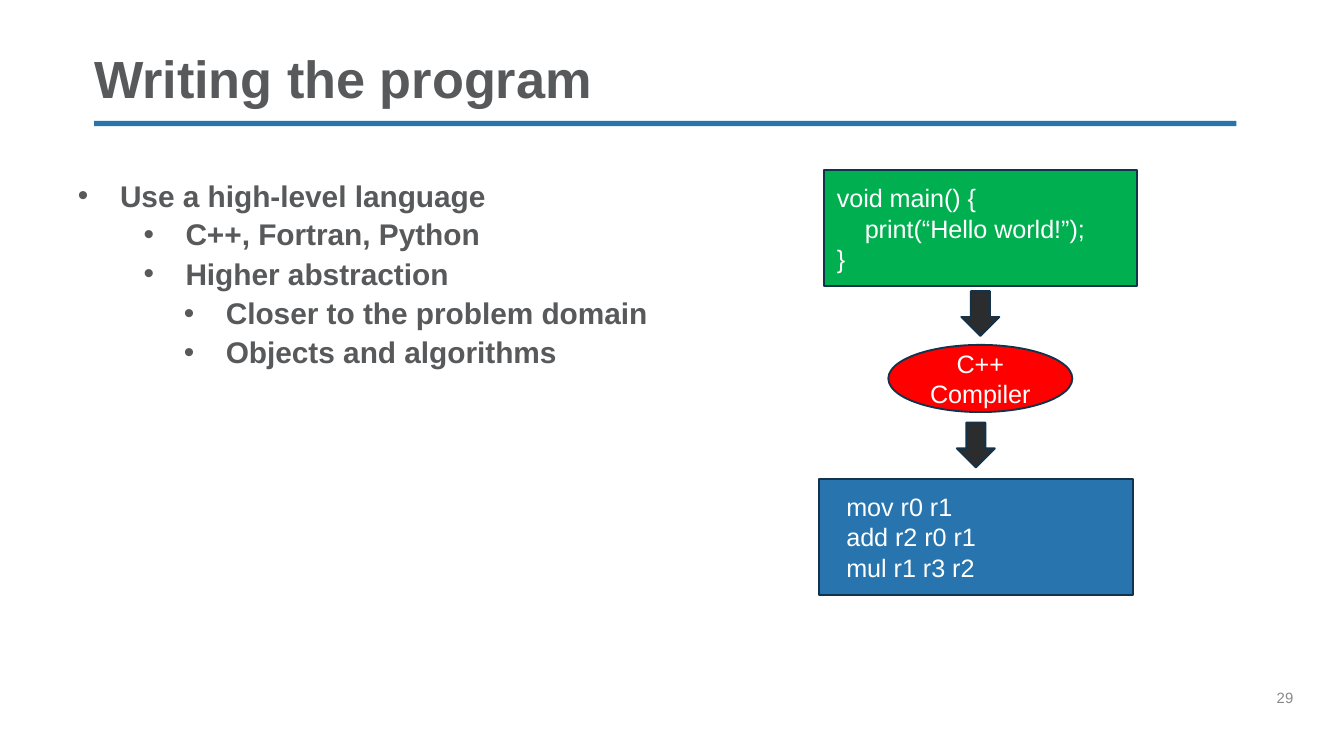
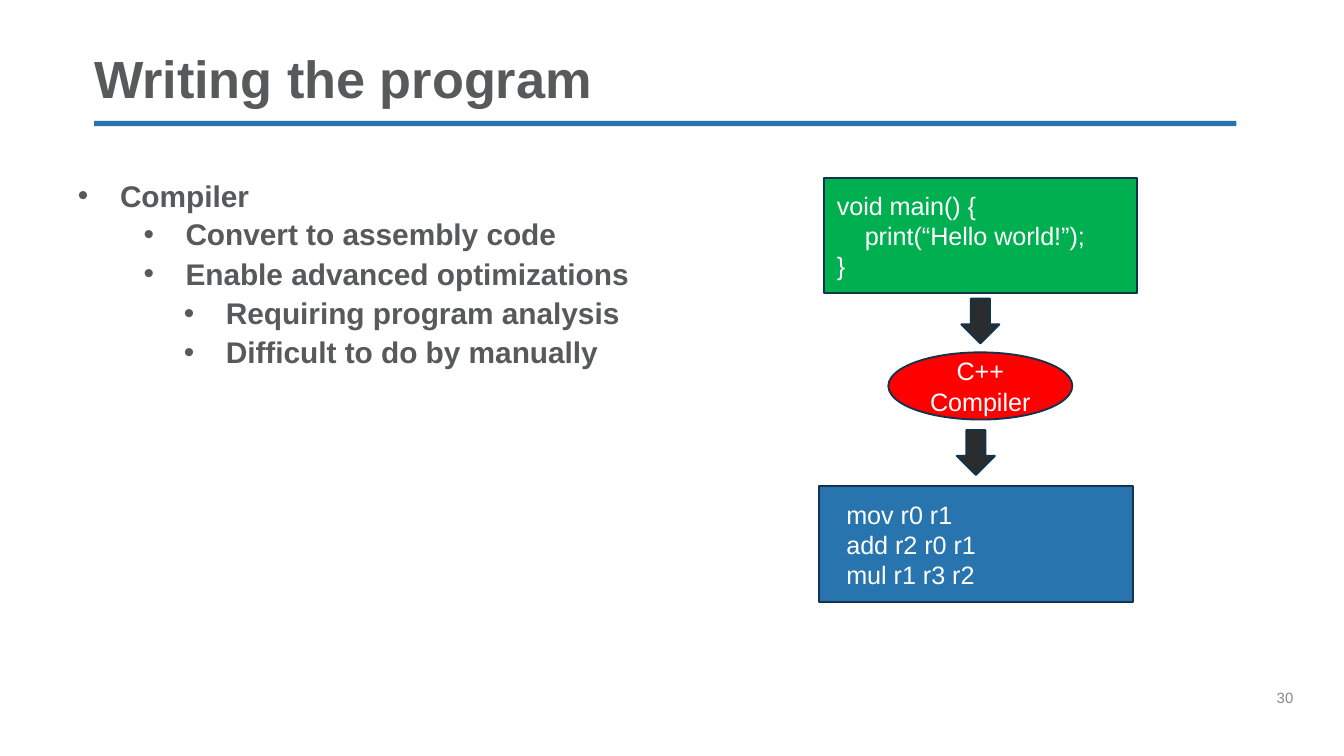
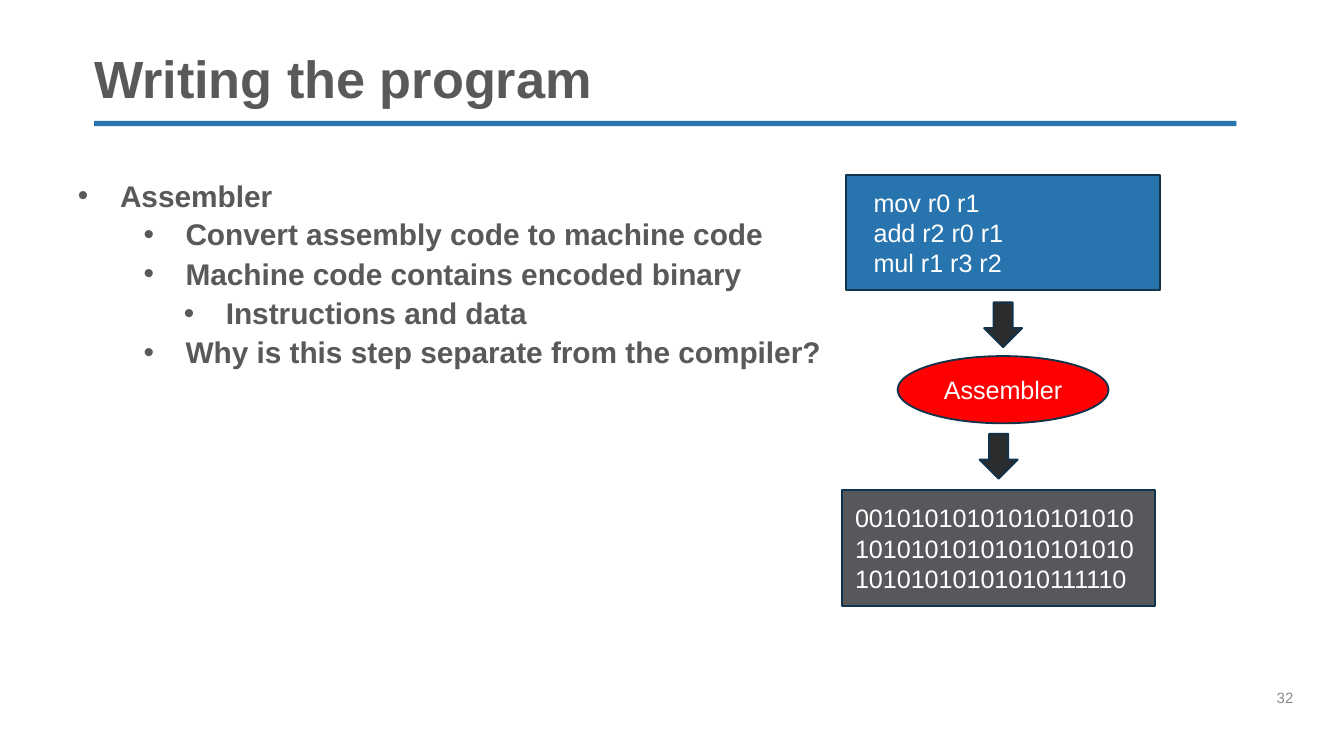
"""Build three slides on compiling and assembling a program."""
from dataclasses import dataclass

import lxml.etree
import pptx
import pptx.dml.color
import pptx.enum.shapes
import pptx.enum.text
import pptx.oxml.ns
import pptx.util

Pt = pptx.util.Pt
PRESET = pptx.enum.shapes.MSO_SHAPE
ALIGN = pptx.enum.text.PP_ALIGN
ANCHOR = pptx.enum.text.MSO_ANCHOR

FONT = "Arial"
COLORS = {
    "heading": "58595B",
    "rule": "2774AE",
    "page": "898989",
    "outline": "11334C",
    "arrow": "2B2C2E",
    "source": "00B050",
    "assembly": "2774AE",
    "machine": "57585B",
    "tool": "FF0000",
    "label": "FFFFFF",
}
LEVEL_INDENTS = (22.5, 57.6, 79.2)
HANGING = 22.5
CODE_WIDTH, CODE_HEIGHT = 168, 62
ARROW_WIDTH, ARROW_HEIGHT = 20.4, 24
TOOL_HEIGHT = 36
ARROW_TO_TOOL = 28.8
TOOL_TO_ARROW = 41.6
ARROW_TO_OUTPUT = 30.2
OUTPUT_SHIFT = -2.4


@dataclass(frozen=True)
class Box:
    left: float
    top: float
    width: float
    height: float


@dataclass(frozen=True)
class Code:
    color: str
    lines: tuple[str, ...]
    indents: tuple[float, ...]


@dataclass(frozen=True)
class Flow:
    center: float
    top: float
    gap: float
    code_in: Code
    tool: str
    tool_width: float
    code_out: Code


@dataclass(frozen=True)
class Page:
    number: int
    bullets: tuple[tuple[int, str], ...]
    flow: Flow


SOURCE = Code("source", ("void main() {", "print(“Hello world!”);", "}"), (0, 15, 0))
ASSEMBLY = Code("assembly", ("mov r0 r1", "add r2 r0 r1", "mul r1 r3 r2"), (7.5, 7.5, 7.5))
MACHINE = Code("machine", ("001010101010101010101010101010101010101010101010101010111110",), (0,))

PAGES = (
    Page(
        29,
        (
            (0, "Use a high-level language"),
            (1, "C++, Fortran, Python"),
            (1, "Higher abstraction"),
            (2, "Closer to the problem domain"),
            (2, "Objects and algorithms"),
        ),
        Flow(525.2, 91.2, 2.8, SOURCE, "C++ Compiler", 98.6, ASSEMBLY),
    ),
    Page(
        30,
        (
            (0, "Compiler"),
            (1, "Convert to assembly code"),
            (1, "Enable advanced optimizations"),
            (2, "Requiring program analysis"),
            (2, "Difficult to do by manually"),
        ),
        Flow(525.2, 95.2, 2.8, SOURCE, "C++ Compiler", 98.6, ASSEMBLY),
    ),
    Page(
        32,
        (
            (0, "Assembler"),
            (1, "Convert assembly code to machine code"),
            (1, "Machine code contains encoded binary"),
            (2, "Instructions and data"),
            (1, "Why is this step separate from the compiler?"),
        ),
        Flow(537.4, 93.6, 6.4, ASSEMBLY, "Assembler", 113, MACHINE),
    ),
)


def rgb(name: str) -> pptx.dml.color.RGBColor:
    return pptx.dml.color.RGBColor.from_string(COLORS[name])


def place(box: Box) -> tuple:
    return Pt(box.left), Pt(box.top), Pt(box.width), Pt(box.height)


def style_text(frame, size: float, color: str, bold: bool = False) -> None:
    for paragraph in frame.paragraphs:
        for run in paragraph.runs:
            run.font.name = FONT
            run.font.size = Pt(size)
            run.font.bold = bold
            run.font.color.rgb = rgb(color)


def indent(paragraph, left: float, first: float = 0) -> None:
    properties = paragraph._p.get_or_add_pPr()
    properties.set("marL", str(int(Pt(left))))
    properties.set("indent", str(int(Pt(first))))


def add_text(slide, box: Box, text: str, bottom_inset: float = 0):
    frame = slide.shapes.add_textbox(*place(box)).text_frame
    frame.word_wrap = True
    frame.margin_left = frame.margin_right = frame.margin_top = 0
    frame.margin_bottom = Pt(bottom_inset)
    frame.text = text
    return frame


def add_block(slide, preset, box: Box, fill: str, outlined: bool = True):
    block = slide.shapes.add_shape(preset, *place(box))
    block.shadow.inherit = False
    block.fill.solid()
    block.fill.fore_color.rgb = rgb(fill)
    if outlined:
        block.line.color.rgb = rgb("outline")
        block.line.width = Pt(1)
    else:
        block.line.fill.background()
    return block


def add_frame(slide, number: int) -> None:
    add_block(slide, PRESET.RECTANGLE, Box(50.4, 64.8, 612, 2.9), "rule", outlined=False)
    heading = add_text(slide, Box(50.4, 28.8, 612, 30.2), "Writing the program")
    heading.vertical_anchor = ANCHOR.BOTTOM
    heading.paragraphs[0].line_spacing = 0.9
    style_text(heading, 28, "heading", bold=True)
    page_number = add_text(slide, Box(684, 374.4, 36, 28.8), str(number), 20.2)
    style_text(page_number, 8, "page")


def add_bullets(slide, bullets: tuple[tuple[int, str], ...]) -> None:
    outline = add_text(slide, Box(41.8, 95, 540, 124.6), "\n".join(text for _, text in bullets))
    for paragraph, (level, _) in zip(outline.paragraphs, bullets):
        paragraph.level = level
        paragraph.space_before = Pt(3.8 if level else 7.5)
        paragraph.line_spacing = 0.9 if level else 1.0
        indent(paragraph, LEVEL_INDENTS[level], -HANGING)
        properties = paragraph._p.get_or_add_pPr()
        for tag, key, value in (("a:buFont", "typeface", FONT), ("a:buChar", "char", "•")):
            lxml.etree.SubElement(properties, pptx.oxml.ns.qn(tag)).set(key, value)
    style_text(outline, 16, "heading", bold=True)


def add_code(slide, center: float, top: float, code: Code) -> None:
    box = Box(center - CODE_WIDTH / 2, top, CODE_WIDTH, CODE_HEIGHT)
    frame = add_block(slide, PRESET.RECTANGLE, box, code.color).text_frame
    frame.word_wrap = True
    frame.vertical_anchor = ANCHOR.MIDDLE
    frame.text = "\n".join(code.lines)
    for paragraph, left in zip(frame.paragraphs, code.indents):
        paragraph.alignment = ALIGN.LEFT
        indent(paragraph, left)
    style_text(frame, 13.5, "label")


def add_tool(slide, flow: Flow, top: float) -> None:
    box = Box(flow.center - flow.tool_width / 2, top, flow.tool_width, TOOL_HEIGHT)
    frame = add_block(slide, PRESET.OVAL, box, "tool").text_frame
    frame.word_wrap = True
    frame.vertical_anchor = ANCHOR.MIDDLE
    frame.text = flow.tool
    frame.paragraphs[0].alignment = ALIGN.CENTER
    style_text(frame, 13.5, "label")


def add_arrow(slide, center: float, top: float) -> None:
    box = Box(center - ARROW_WIDTH / 2, top, ARROW_WIDTH, ARROW_HEIGHT)
    add_block(slide, PRESET.DOWN_ARROW, box, "arrow")


def add_flow(slide, flow: Flow) -> None:
    first_arrow = flow.top + CODE_HEIGHT + flow.gap
    tool_top = first_arrow + ARROW_TO_TOOL
    second_arrow = tool_top + TOOL_TO_ARROW
    output_center = flow.center + OUTPUT_SHIFT
    add_code(slide, flow.center, flow.top, flow.code_in)
    add_arrow(slide, flow.center, first_arrow)
    add_tool(slide, flow, tool_top)
    add_arrow(slide, output_center, second_arrow)
    add_code(slide, output_center, second_arrow + ARROW_TO_OUTPUT, flow.code_out)


def main() -> None:
    deck = pptx.Presentation()
    deck.slide_width, deck.slide_height = Pt(720), Pt(405)
    for page in PAGES:
        slide = deck.slides.add_slide(deck.slide_layouts[6])
        add_frame(slide, page.number)
        add_bullets(slide, page.bullets)
        add_flow(slide, page.flow)
    deck.save("out.pptx")


if __name__ == "__main__":
    main()
